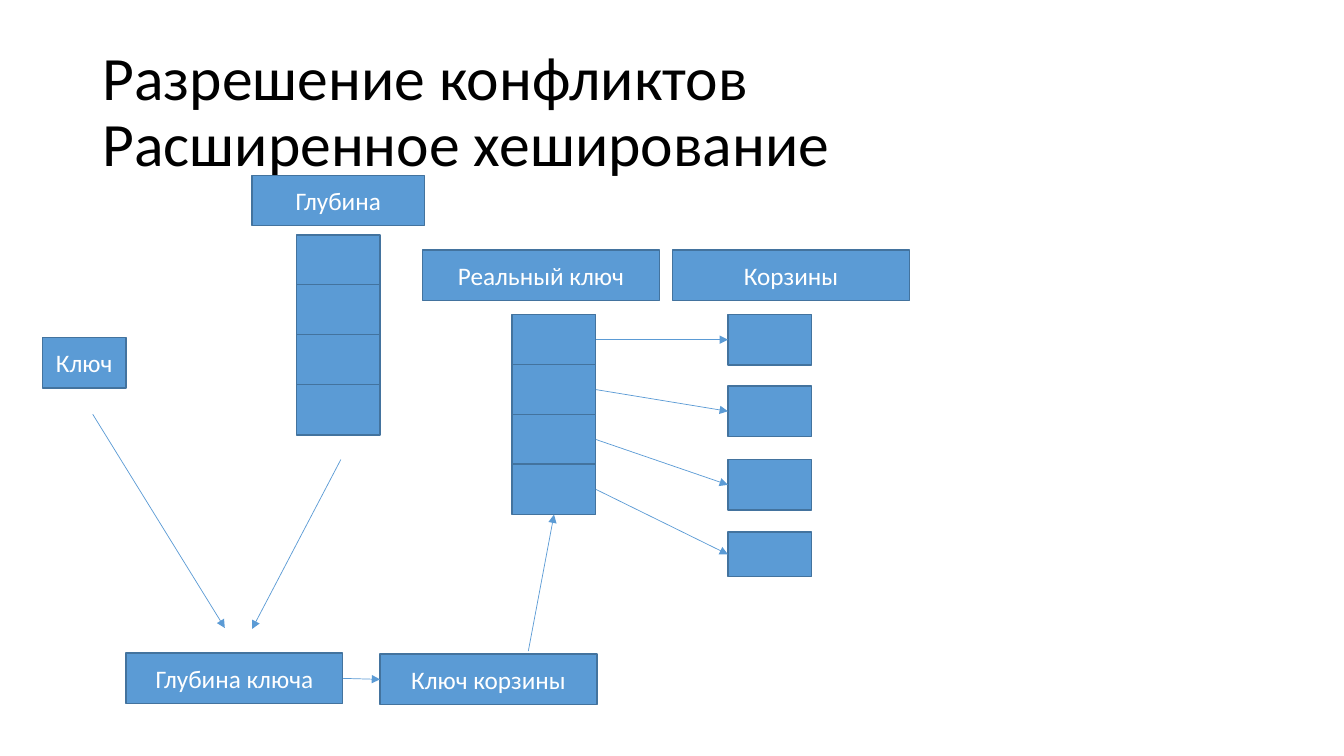
import pptx
import pptx.util
import pptx.dml.color
import pptx.enum.shapes
import pptx.enum.text
import pptx.oxml
import pptx.oxml.ns
import lxml.etree

Inches = pptx.util.Inches
Pt = pptx.util.Pt
RGB = pptx.dml.color.RGBColor
ALIGN = pptx.enum.text.PP_ALIGN
MIDDLE = pptx.enum.text.MSO_ANCHOR.MIDDLE
RECT = pptx.enum.shapes.MSO_SHAPE.RECTANGLE
LINE = pptx.enum.shapes.MSO_CONNECTOR.STRAIGHT

BLUE = RGB(0x5B, 0x9B, 0xD5)
EDGE = RGB(0x43, 0x73, 0x9E)
BLACK = RGB(0, 0, 0)
WHITE = RGB(255, 255, 255)
FONT = "Calibri"
WIDE, HIGH = 0.83, 0.5
STEP = 0.495
BOTTOM, LEFT, RIGHT = 2, 1, 3


def write(shape, text, size=18, color=WHITE, align=ALIGN.CENTER, space=1.0):
    frame = shape.text_frame
    frame.word_wrap = True
    frame.vertical_anchor = MIDDLE
    para = frame.paragraphs[0]
    para.text = text
    para.alignment = align
    para.line_spacing = space
    for run in para.runs:
        run.font.name = FONT
        run.font.size = Pt(size)
        run.font.color.rgb = color


def block(slide, x, y, w=WIDE, h=HIGH, text=None):
    shape = slide.shapes.add_shape(RECT, Inches(x), Inches(y), Inches(w), Inches(h))
    shape.shadow.inherit = False
    shape.fill.solid()
    shape.fill.fore_color.rgb = BLUE
    shape.line.color.rgb = EDGE
    shape.line.width = Pt(1)
    if text:
        write(shape, text)
    return shape


def arrow(slide, start=(0, 0), end=(0, 0), source=None, target=None):
    points = [Inches(v) for v in (*start, *end)]
    link = slide.shapes.add_connector(LINE, *points)
    if source:
        link.begin_connect(*source)
    if target:
        link.end_connect(*target)
    link.line.color.rgb = BLUE
    link.line.width = Pt(0.5)
    qn = pptx.oxml.ns.qn
    lxml.etree.SubElement(link.line._get_or_add_ln(), qn("a:tailEnd"), type="triangle")
    lxml.etree.SubElement(link._element.spPr, qn("a:effectLst"))


def title(slide, x, y, w, h):
    box = slide.shapes.add_textbox(Inches(x), Inches(y), Inches(w), Inches(h))
    write(box, "Разрешение конфликтов\vРасширенное хеширование",
          size=44, color=BLACK, align=ALIGN.LEFT, space=0.9)


def stack(slide, x, y):
    return [block(slide, x, y + row * STEP) for row in range(4)]


def depth(slide, x, y):
    block(slide, x, y, w=1.71, text="Глубина")
    stack(slide, x + 0.44, y + 0.59)
    arrow(slide, (x + 0.88, y + 2.82), (x, y + 4.5))


def key(slide, x, y):
    block(slide, x, y, text="Ключ")
    arrow(slide, (x + 0.5, y + 0.76), (x + 1.81, y + 2.88))


def table(slide, x, y):
    block(slide, x, y, w=2.35, text="Реальный ключ")
    block(slide, x + 2.48, y, w=2.35, text="Корзины")
    cells = stack(slide, x + 0.89, y + 0.64)
    places = [(0.64, HIGH), (1.35, HIGH), (2.08, HIGH), (2.8, 0.44)]
    for cell, (drop, high) in zip(cells, places):
        bucket = block(slide, x + 3.03, y + drop, h=high)
        arrow(slide, source=(cell, RIGHT), target=(bucket, LEFT))
    return cells[-1]


def lookup(slide, x, y, cell):
    part = block(slide, x, y, w=2.15, text="Глубина ключа")
    goal = block(slide, x + 2.52, y + 0.01, w=2.15, text="Ключ корзины")
    arrow(slide, source=(part, RIGHT), target=(goal, LEFT))
    arrow(slide, start=(x + 3.99, y - 0.02), target=(cell, BOTTOM))


def main():
    deck = pptx.Presentation()
    deck.slide_width = Inches(13.33)
    deck.slide_height = Inches(7.5)
    slide = deck.slides.add_slide(deck.slide_layouts[6])
    title(slide, 0.92, 0.4, 11.5, 1.45)
    cell = table(slide, 4.19, 2.48)
    depth(slide, 2.5, 1.74)
    key(slide, 0.42, 3.35)
    lookup(slide, 1.25, 6.48, cell)
    deck.save("out.pptx")


if __name__ == "__main__":
    main()
